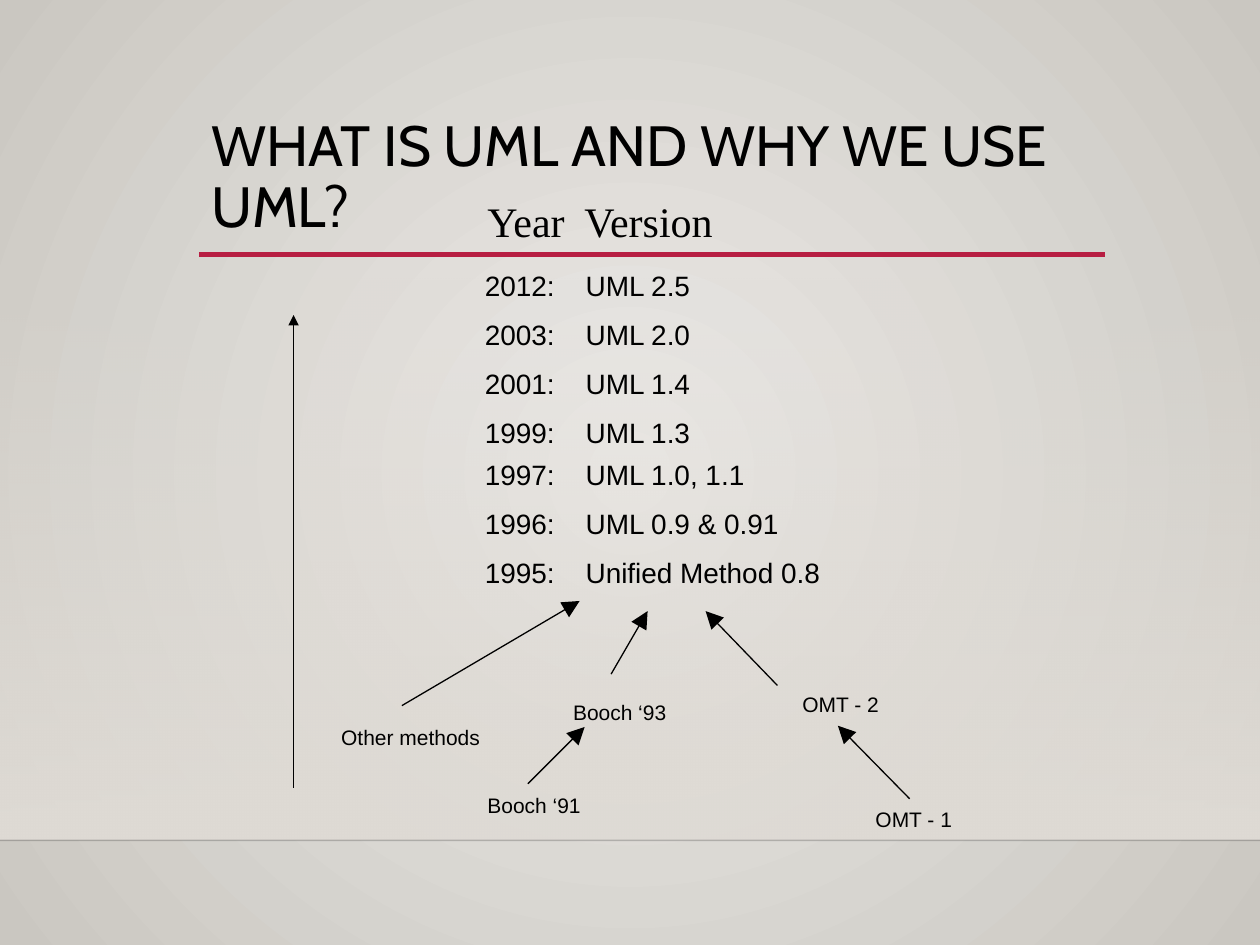
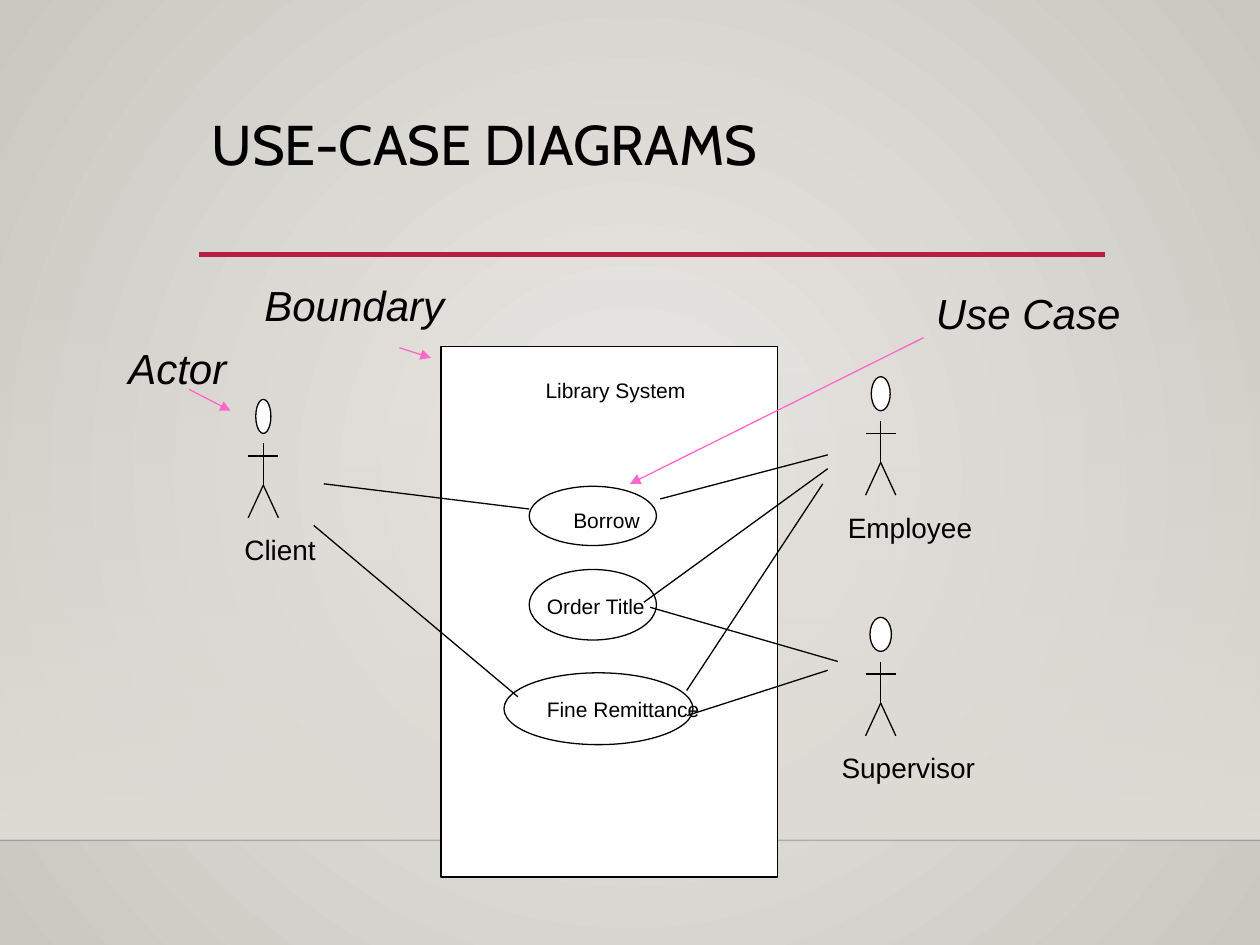
import pptx
import pptx.util
import pptx.dml.color
import pptx.enum.shapes
import pptx.oxml
import pptx.oxml.ns
from lxml import etree

Inches, Pt = pptx.util.Inches, pptx.util.Pt
qn = pptx.oxml.ns.qn
RGBColor = pptx.dml.color.RGBColor
SHAPE = pptx.enum.shapes.MSO_SHAPE
BLACK = RGBColor(0x00, 0x00, 0x00)
NEAR_BLACK = RGBColor(0x00, 0x00, 0x01)
WHITE = RGBColor(0xFF, 0xFF, 0xFF)
CRIMSON = RGBColor(0xB7, 0x1E, 0x42)
PINK = RGBColor(0xFF, 0x66, 0xCC)
PALE = RGBColor(0xEC, 0xEA, 0xE7)
STONE = RGBColor(0xCA, 0xC7, 0xC1)
SAND = RGBColor(0xDF, 0xDB, 0xD5)


def add_text(slide, text, left, top, width, height, size=12, font="Arial",
             italic=False, inset=True, gap=0, line_spacing=None, tab=None):
    """Write one paragraph per line; tab is the stop that aligns a second column."""
    frame = slide.shapes.add_textbox(
        Inches(left), Inches(top), Inches(width), Inches(height)).text_frame
    frame.word_wrap = True
    if not inset:
        frame.margin_left = frame.margin_right = frame.margin_top = frame.margin_bottom = 0
    for index, line in enumerate(text.split("\n")):
        paragraph = frame.paragraphs[0] if index == 0 else frame.add_paragraph()
        if index:
            paragraph.space_before = Pt(gap)
        if line_spacing:
            paragraph.line_spacing = line_spacing
        run = paragraph.add_run()
        run.text = line
        run.font.size, run.font.name, run.font.italic = Pt(size), font, italic
        run.font.color.rgb = BLACK
        if tab:
            stops = etree.SubElement(paragraph._p.get_or_add_pPr(), qn("a:tabLst"))
            etree.SubElement(stops, qn("a:tab"), pos=str(Inches(tab)), algn="l")


def add_line(slide, start, end, color=BLACK, width=0.75, head=None):
    """Draw a straight line; head is the arrowhead size at its end."""
    line = slide.shapes.add_connector(
        pptx.enum.shapes.MSO_CONNECTOR.STRAIGHT,
        Inches(start[0]), Inches(start[1]), Inches(end[0]), Inches(end[1]))
    line.line.color.rgb = color
    line.line.width = Pt(width)
    properties = line._element.spPr
    if head:
        etree.SubElement(properties.find(qn("a:ln")), qn("a:tailEnd"),
                         type="triangle", w=head, len=head)
    etree.SubElement(properties, qn("a:effectLst"))
    return line


prs = pptx.Presentation()
prs.slide_width, prs.slide_height = Inches(10), Inches(7.5)

# Shared radial background
backdrop = prs.slide_master.background.fill
backdrop.gradient()
for stop, color in zip(backdrop.gradient_stops, (PALE, STONE)):
    stop.color.rgb = color
radial = prs.slide_master.element.find(".//" + qn("p:bgPr") + "/" + qn("a:gradFill"))
radial.replace(radial.find(qn("a:lin")), pptx.oxml.parse_xml(
    '<a:path xmlns:a="http://schemas.openxmlformats.org/drawingml/2006/main" path="circle">'
    '<a:fillToRect l="50000" t="50000" r="50000" b="50000"/></a:path>'))

# Shared wall, floor line, title rule and title
slides = []
for title, title_size in (("WHAT IS UML AND WHY WE USE UML?", 32.4), ("USE-CASE DIAGRAMS", 32)):
    slide = prs.slides.add_slide(prs.slide_layouts[6])
    wall = slide.shapes.add_shape(SHAPE.RECTANGLE, 0, Inches(2.2), Inches(10), Inches(4.46))
    wall.shadow.inherit = False
    wall.line.fill.background()
    wall.fill.gradient()
    wall.fill.gradient_angle = 270
    for stop in wall.fill.gradient_stops:
        stop.color.rgb = SAND
    etree.SubElement(wall._element.find(".//" + qn("a:srgbClr")), qn("a:alpha"), val="0")
    floor = add_line(slide, (0, 6.67), (10, 6.67), NEAR_BLACK, 1)
    etree.SubElement(floor._element.find(".//" + qn("a:srgbClr")), qn("a:alpha"), val="20000")
    add_line(slide, (1.58, 2.02), (8.77, 2.02), CRIMSON, 2.5)
    add_text(slide, title, 1.58, 0.88, 7.19, 1.15, size=title_size, font="Cabin",
             line_spacing=0.9)
    slides.append(slide)
history, use_cases = slides

# Version history
add_text(history, "Year\tVersion", 3.77, 1.5, 2.5, 0.5, size=24,
         font="Times New Roman", tab=0.77)
add_text(history, "2012:\tUML 2.5\n2003:\tUML 2.0\n2001:\tUML 1.4\n1999:\tUML 1.3",
         3.75, 2.08, 2.67, 1.58, size=16, gap=8.8, tab=0.8)
add_text(history, "1997:\tUML 1.0, 1.1\n1996:\tUML 0.9 & 0.91\n1995:\tUnified Method 0.8",
         3.75, 3.58, 4.6, 1.17, size=16, gap=8.8, tab=0.8)

# Earlier methods and the arrows that lead up from them
for method, left, top in (("Other methods", 2.61, 5.7), ("Booch ‘91", 3.77, 6.24),
                          ("Booch ‘93", 4.45, 5.5), ("OMT - 2", 6.27, 5.44),
                          ("OMT - 1", 6.85, 6.35)):
    add_text(history, method, left, top, 1.4, 0.3)
for start, end in (((3.19, 5.6), (4.6, 4.77)), ((4.19, 6.22), (4.64, 5.77)),
                   ((4.85, 5.35), (5.14, 4.85)), ((7.22, 6.34), (6.65, 5.76)),
                   ((6.17, 5.44), (5.6, 4.85))):
    add_line(history, start, end, head="lg")
add_line(history, (2.33, 6.25), (2.33, 2.5), head="med")

# System boundary, use cases and actor heads
outlines = [(SHAPE.RECTANGLE, 3.5, 2.75, 2.67, 4.21),
            (SHAPE.OVAL, 4.2, 3.86, 1.01, 0.47),
            (SHAPE.OVAL, 4.2, 4.52, 1.01, 0.56),
            (SHAPE.OVAL, 4, 5.34, 1.5, 0.57)]
actors = (("Client", 2.09, 3.52, 0.12, 1.94), ("Employee", 6.99, 3.34, 0.15, 6.73),
          ("Supervisor", 6.99, 5.25, 0.17, 6.68))
for name, center, neck, head_width, label_left in actors:
    outlines.append((SHAPE.OVAL, center - head_width / 2, neck - 0.35, head_width, 0.27))
for kind, *box in outlines:
    outline = use_cases.shapes.add_shape(kind, *map(Inches, box))
    outline.shadow.inherit = False
    outline.fill.solid()
    outline.fill.fore_color.rgb = WHITE
    outline.line.color.rgb = BLACK
    outline.line.width = Pt(0.75)
for label, left, top in (("Library System", 4.33, 3), ("Borrow", 4.55, 4.03),
                         ("Order Title", 4.34, 4.71), ("Fine Remittance", 4.34, 5.53)):
    add_text(use_cases, label, left, top, 1.3, 0.2, inset=False)

# Actor bodies: trunk, arms and two legs below the neck
for name, center, neck, head_width, label_left in actors:
    hip = (center, neck + 0.33)
    add_line(use_cases, (center, neck), hip)
    add_line(use_cases, (center - 0.12, neck + 0.1), (center + 0.12, neck + 0.1))
    for side in (-0.12, 0.12):
        add_line(use_cases, hip, (center + side, neck + 0.59))
    add_text(use_cases, name, label_left, neck + 0.71, 1.2, 0.27, size=16, inset=False)

# Associations between actors and use cases
for start, end in (((2.57, 3.84), (4.2, 4.04)), ((2.49, 4.17), (4.11, 5.53)),
                   ((6.57, 3.72), (5.11, 4.78)), ((6.53, 3.84), (5.45, 5.48)),
                   ((5.24, 3.96), (6.57, 3.61)), ((5.16, 4.82), (6.65, 5.25)),
                   ((5.45, 5.68), (6.57, 5.32))):
    add_line(use_cases, start, end)

# Notation callouts
for term, left, top, start, end in (
        ("Boundary", 2, 2.17, (3.17, 2.76), (3.42, 2.84)),
        ("Actor", 0.92, 2.67, (1.5, 3.09), (1.83, 3.26)),
        ("Use Case", 7.33, 2.23, (7.33, 2.68), (5, 3.84))):
    add_text(use_cases, term, left, top, 1.75, 0.5, size=24, italic=True)
    add_line(use_cases, start, end, PINK, head="med")

prs.save("out.pptx")
